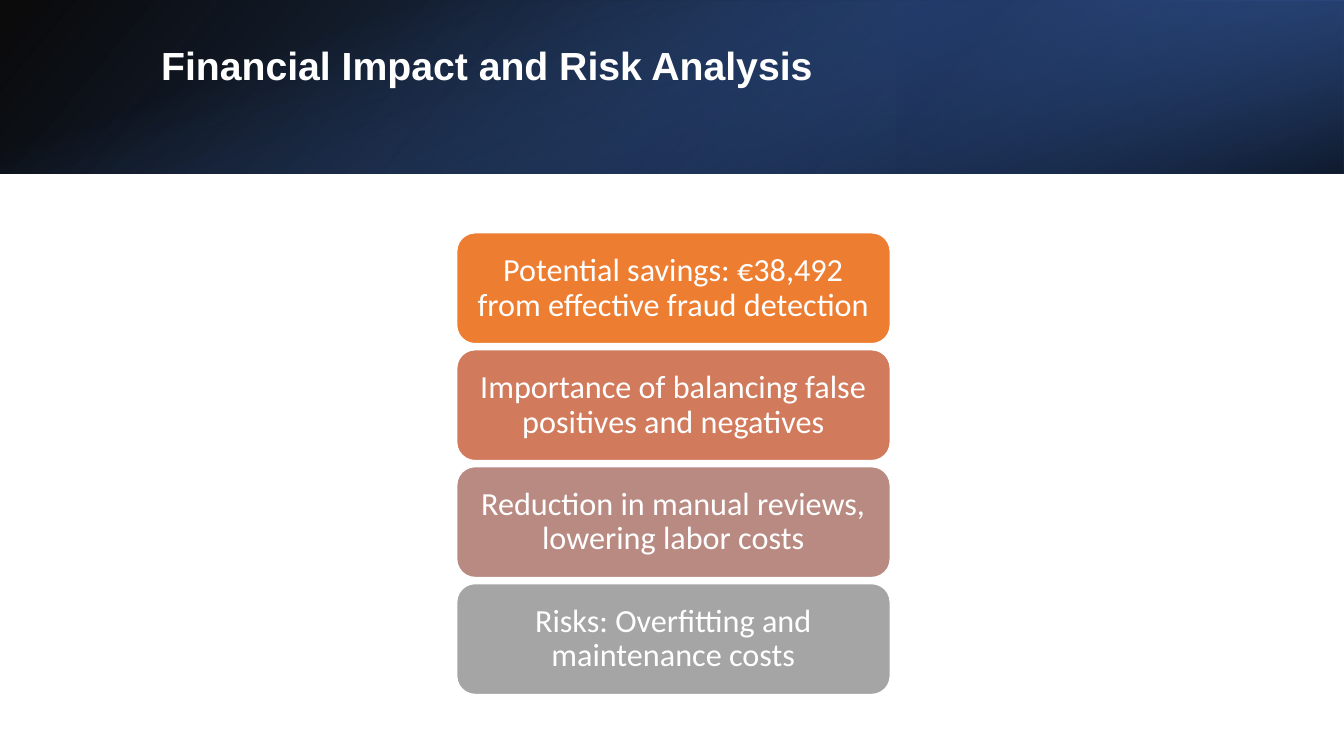
"""Build the slide on financial impact and risk analysis."""
import pptx
import pptx.dml.color
import pptx.enum.shapes
import pptx.enum.text
import pptx.oxml
import pptx.oxml.ns
import pptx.util

Inches = pptx.util.Inches
Pt = pptx.util.Pt
RGB = pptx.dml.color.RGBColor
SHAPE = pptx.enum.shapes.MSO_SHAPE
ANCHOR = pptx.enum.text.MSO_ANCHOR
ALIGN = pptx.enum.text.PP_ALIGN

WHITE = RGB(0xFF, 0xFF, 0xFF)
BLACK = RGB(0, 0, 0)
NAVY = RGB(0x20, 0x38, 0x64)
ROYAL = RGB(0x2F, 0x55, 0x97)
BLUE = RGB(0x44, 0x72, 0xC4)
ORANGE = RGB(0xED, 0x7D, 0x31)
CORAL = RGB(0xD1, 0x7B, 0x5C)
ROSE = RGB(0xB9, 0x8A, 0x82)
GREY = RGB(0xA5, 0xA5, 0xA5)

TITLE = "Financial Impact and Risk Analysis"
POINTS = [
    ("Potential savings: €38,492 from effective fraud detection", ORANGE),
    ("Importance of balancing false positives and negatives", CORAL),
    ("Reduction in manual reviews, lowering labor costs", ROSE),
    ("Risks: Overfitting and maintenance costs", GREY),
]
BANDS = [
    ((0, 0, 13.33, 1.72), 0, True, 140,
     [(0, BLACK, 96), (100, ROYAL, 100)]),
    ((8.89, 0, 4.44, 1.72), 180, True, 320,
     [(19, NAVY, 68), (100, BLUE, 79)]),
    ((5.8, -5.8, 1.72, 13.33), 90, False, 340,
     [(23, BLUE, 0), (99, BLACK, 74)]),
]
LEFT, TOP, WIDTH, HEIGHT, PITCH = 4.53, 2.31, 4.3, 1.1, 1.16


def add_box(slide, kind, area):
    box = slide.shapes.add_shape(kind, *map(Inches, area))
    box.shadow.inherit = False
    return box


def add_band(slide, area, turn, flip, angle, stops):
    band = add_box(slide, SHAPE.RECTANGLE, area)
    band.rotation = turn
    band.line.fill.background()
    band.fill.background()
    props = band._element.spPr
    if flip:
        props.xfrm.set("flipH", "1")
    marks = "".join(
        f'<a:gs pos="{pos * 1000}"><a:srgbClr val="{color}">'
        f'<a:alpha val="{alpha * 1000}"/></a:srgbClr></a:gs>'
        for pos, color, alpha in stops)
    grad = pptx.oxml.parse_xml(
        f'<a:gradFill {pptx.oxml.ns.nsdecls("a")} rotWithShape="1">'
        f'<a:gsLst>{marks}</a:gsLst>'
        f'<a:lin ang="{angle * 60000}" scaled="0"/></a:gradFill>')
    props.replace(props.find(pptx.oxml.ns.qn("a:noFill")), grad)


def set_text(shape, text, size, font, align, anchor):
    frame = shape.text_frame
    frame.word_wrap = True
    frame.vertical_anchor = anchor
    para = frame.paragraphs[0]
    para.text = text
    para.alignment = align
    para.line_spacing = 0.9
    para.font.size = Pt(size)
    para.font.name = font
    para.font.color.rgb = WHITE
    return frame


def add_title(slide):
    box = slide.shapes.add_textbox(*map(Inches, (1.5, 0.38, 10.98, 0.96)))
    frame = set_text(box, TITLE, 28, "Arial", ALIGN.LEFT, ANCHOR.TOP)
    frame.margin_top = Inches(0.08)
    frame.paragraphs[0].font.bold = True


def add_point(slide, row, text, color):
    area = (LEFT, TOP + row * PITCH, WIDTH, HEIGHT)
    card = add_box(slide, SHAPE.ROUNDED_RECTANGLE, area)
    card.fill.solid()
    card.fill.fore_color.rgb = color
    card.line.color.rgb = WHITE
    card.line.width = Pt(1)
    frame = set_text(card, text, 23, "Calibri", ALIGN.CENTER, ANCHOR.MIDDLE)
    frame.margin_left = frame.margin_right = Inches(0.15)


def main():
    deck = pptx.Presentation()
    deck.slide_width = Inches(13.33)
    deck.slide_height = Inches(7.5)
    slide = deck.slides.add_slide(deck.slide_layouts[6])
    for band in BANDS:
        add_band(slide, *band)
    add_title(slide)
    for row, (text, color) in enumerate(POINTS):
        add_point(slide, row, text, color)
    deck.save("out.pptx")


if __name__ == "__main__":
    main()
